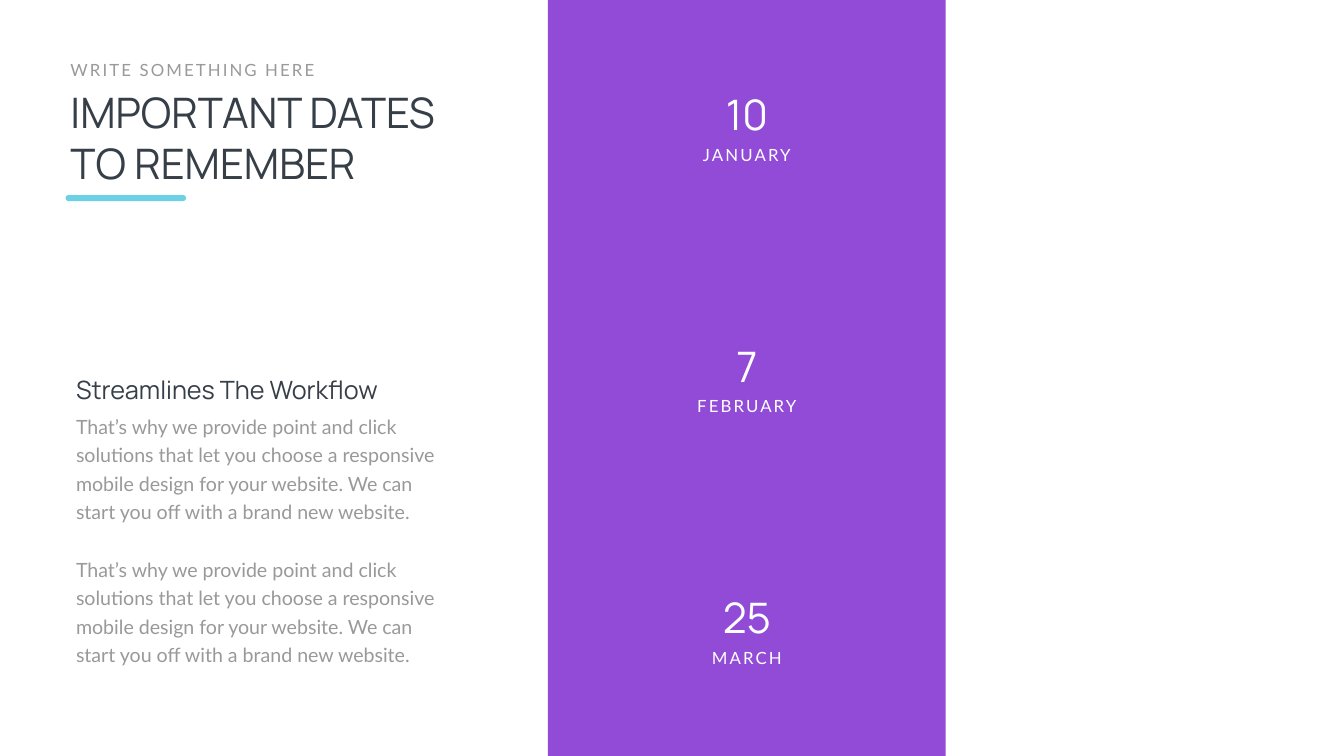
"""Build the slide of important dates with a purple date column."""
from pptx import Presentation
from pptx.dml.color import RGBColor
from pptx.enum.shapes import MSO_SHAPE
from pptx.enum.text import MSO_AUTO_SIZE, PP_ALIGN
from pptx.util import Inches, Pt

RECTANGLE, ROUNDED = MSO_SHAPE.RECTANGLE, MSO_SHAPE.ROUNDED_RECTANGLE
LEFT, CENTER = PP_ALIGN.LEFT, PP_ALIGN.CENTER
GROW = MSO_AUTO_SIZE.SHAPE_TO_FIT_TEXT

DARK, GREY, WHITE = "363E48", "999999", "FFFFFF"
PURPLE, CYAN = "914BD7", "6CD1E5"

KICKER = "WRITE SOMETHING HERE"
TITLE = "IMPORTANT DATES TO REMEMBER"
SUBTITLE = "Streamlines The Workflow"
BODY = ("That’s why we provide point and click solutions that let you choose "
        "a responsive mobile design for your website. "
        "We can start you off with a brand new website.")
DATES = [("10", "JANUARY", 2.03), ("7", "FEBRUARY", 2.26), ("25", "MARCH", 1.65)]

COLUMN_LEFT, COLUMN_WIDTH = 10.87, 7.89
DATE_TOP, DATE_STEP = 1.71, 4.99
DAY_WIDTH, DAY_HEIGHT = 2.99, 1.11
LINE_PITCH = 40.8


def color(value):
    return RGBColor.from_string(value)


def add_block(page, kind, place, fill):
    block = page.shapes.add_shape(kind, *map(Inches, place))
    block.shadow.inherit = False
    block.fill.solid()
    block.fill.fore_color.rgb = color(fill)
    block.line.fill.background()
    return block


def add_text(page, place, text, font, size, ink, align=LEFT, wrap=True, tracking=0):
    box = page.shapes.add_textbox(*map(Inches, place))
    frame = box.text_frame
    frame.text = text
    frame.word_wrap = wrap
    frame.auto_size = GROW
    for paragraph in frame.paragraphs:
        paragraph.alignment = align
        for span in paragraph.runs:
            span.font.name = font
            span.font.size = Pt(size)
            span.font.color.rgb = color(ink)
            if tracking:
                span.font._element.set("spc", str(tracking * 100))
    return frame


def add_label(page, place, text, ink, align=LEFT):
    add_text(page, place, text, "Lato", 24, ink, align, wrap=False, tracking=3)


def add_dates(page):
    middle = COLUMN_LEFT + COLUMN_WIDTH / 2
    for index, (day, month, width) in enumerate(DATES):
        top = DATE_TOP + index * DATE_STEP
        day_place = (middle - DAY_WIDTH / 2, top, DAY_WIDTH, DAY_HEIGHT)
        add_text(page, day_place, day, "Manrope", 60, WHITE, CENTER)
        month_place = (middle - width / 2, top + DAY_HEIGHT, width, 0.5)
        add_label(page, month_place, month, WHITE, CENTER)


def main():
    deck = Presentation()
    deck.slide_width, deck.slide_height = Inches(26.66), Inches(15)
    page = deck.slides.add_slide(deck.slide_layouts[6])

    add_text(page, (1.3, 1.67, 7.89, 2.12), TITLE, "Manrope", 60, DARK)
    add_label(page, (1.3, 1.13, 5.14, 0.5), KICKER, GREY)
    underline = add_block(page, ROUNDED, (1.3, 3.87, 2.39, 0.12), CYAN)
    underline.adjustments[0] = 0.5

    add_block(page, RECTANGLE, (COLUMN_LEFT, 0, COLUMN_WIDTH, 15), PURPLE)
    add_dates(page)

    body = add_text(page, (1.41, 8.08, 7.47, 5.22), "\n".join([BODY] * 2), "Lato", 28, GREY)
    for paragraph in body.paragraphs:
        paragraph.line_spacing = Pt(LINE_PITCH)
    body.paragraphs[1].space_before = Pt(LINE_PITCH)
    add_text(page, (1.41, 7.37, 6.77, 0.71), SUBTITLE, "Manrope", 36, DARK, wrap=False)

    deck.save("out.pptx")


if __name__ == "__main__":
    main()
